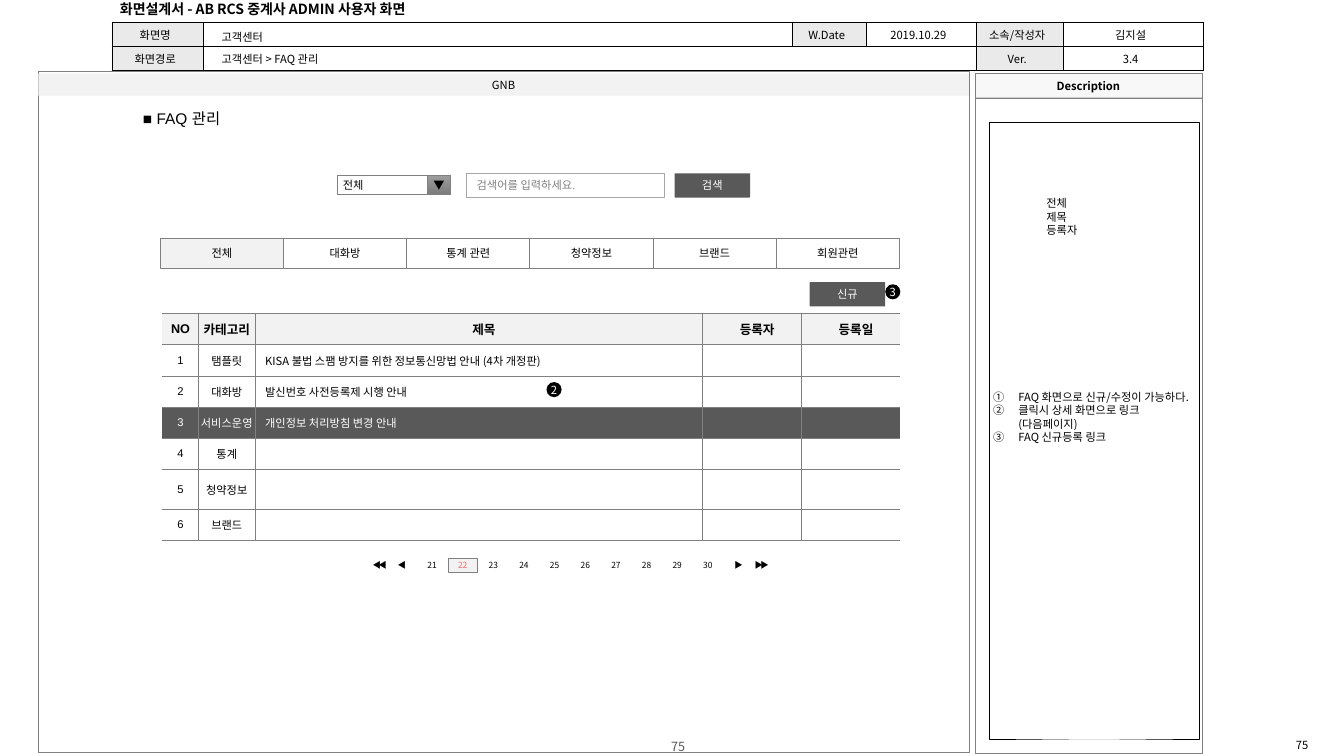
from dataclasses import dataclass

from lxml import etree
from pptx import Presentation
from pptx.dml.color import RGBColor
from pptx.enum.shapes import MSO_SHAPE
from pptx.enum.text import MSO_ANCHOR, PP_ALIGN
from pptx.oxml.ns import qn
from pptx.util import Inches, Pt

RECT = MSO_SHAPE.RECTANGLE
ROUNDED = MSO_SHAPE.ROUNDED_RECTANGLE
OVAL = MSO_SHAPE.OVAL
LEFT, CENTER = PP_ALIGN.LEFT, PP_ALIGN.CENTER
TOP, MIDDLE = MSO_ANCHOR.TOP, MSO_ANCHOR.MIDDLE
FLAT = (0, 0, 0, 0)
ROOMY = (1, 0.5, 1, 0.5)


@dataclass(frozen=True)
class Theme:
    """Colours, fonts and type sizes of the screen specification."""
    black: str = "000000"
    white: str = "FFFFFF"
    label: str = "EAEAEA"
    pale: str = "F2F2F2"
    caption: str = "F8F8F8"
    dark: str = "595959"
    gray: str = "808080"
    field: str = "A6A6A6"
    arrow_top: str = "9D9D9D"
    arrow_bottom: str = "7C7C7C"
    current: str = "FF6060"
    korean: str = "Noto Sans CJK KR"
    latin: str = "Arial"
    tiny: int = 6
    body: int = 8
    header: int = 9
    title: int = 10
    heading: int = 11


class Wireframe:
    """Draws elements on a page whose grid cells are a tenth of an inch."""

    def __init__(self, page, theme):
        self.page = page
        self.theme = theme

    def grid(self, *cells):
        return [Inches(cell / 10) for cell in cells]

    def style(self, frame, text, size=None, color=None, font=None, bold=False,
              align=CENTER, tracking=None):
        theme = self.theme
        frame.text = text
        for para in frame.paragraphs:
            para.alignment = align
            if not text:
                points = str((size or theme.body) * 100)
                etree.SubElement(para._p, qn("a:endParaRPr"), sz=points)
            for span in para.runs:
                span.font.size = Pt(size or theme.body)
                span.font.bold = bold
                span.font.name = font or theme.korean
                span.font.color.rgb = RGBColor.from_string(color or theme.black)
                properties = span.font._element
                etree.SubElement(properties, qn("a:ea"), typeface=theme.korean)
                if tracking:
                    properties.set("spc", str(tracking))

    def inset(self, target, insets):
        (target.margin_left, target.margin_top,
         target.margin_right, target.margin_bottom) = self.grid(*insets)

    def frame(self, box, text, anchor, insets, **look):
        frame = box.text_frame
        frame.word_wrap = True
        frame.vertical_anchor = anchor
        self.inset(frame, insets)
        self.style(frame, text, **look)
        return box

    def label(self, place, text, anchor=TOP, insets=ROOMY, **look):
        box = self.page.shapes.add_textbox(*self.grid(*place))
        return self.frame(box, text, anchor, insets, **look)

    def shape(self, place, text="", kind=RECT, fill=None, line=None,
              weight=0.25, insets=FLAT, **look):
        box = self.page.shapes.add_shape(kind, *self.grid(*place))
        box.shadow.inherit = False
        if kind == ROUNDED:
            box.adjustments[0] = 0.03
        if fill:
            box.fill.solid()
            box.fill.fore_color.rgb = RGBColor.from_string(fill)
        else:
            box.fill.background()
        if line:
            box.line.color.rgb = RGBColor.from_string(line)
            box.line.width = Pt(weight)
        else:
            box.line.fill.background()
        return self.frame(box, text, MIDDLE, insets, **look)

    def button(self, column, row, text):
        theme = self.theme
        self.shape((column, row, 7.5, 2.4), text, ROUNDED, theme.dark,
                   color=theme.white, font=theme.latin)

    def marker(self, column, row, text):
        self.shape((column, row, 1.5, 1.5), text, OVAL, self.theme.black,
                   color=self.theme.white)

    def numbered(self, box):
        for para in box.text_frame.paragraphs:
            properties = para._p.get_or_add_pPr()
            properties.set("marL", str(Inches(0.25)))
            properties.set("indent", str(Inches(-0.25)))
            etree.SubElement(properties, qn("a:buAutoNum"), type="circleNumDbPlain")

    def table(self, place, columns, rows):
        graphic = self.page.shapes.add_table(len(rows), len(columns), *self.grid(*place))
        table = graphic.table
        table.first_row = table.horz_banding = False
        for column, width in zip(table.columns, self.grid(*columns)):
            column.width = width
        for row, height in zip(table.rows, self.grid(*rows)):
            row.height = height
        return table

    def cell(self, cell, text, fill, insets, line, weight, hidden="", indent=0, **look):
        cell.vertical_anchor = MIDDLE
        self.inset(cell, insets)
        properties = cell._tc.get_or_add_tcPr()
        for side in "LRTB":
            edge = etree.SubElement(properties, qn("a:ln" + side), w=str(Pt(weight)))
            if side in hidden:
                etree.SubElement(edge, qn("a:noFill"))
            else:
                paint = etree.SubElement(edge, qn("a:solidFill"))
                etree.SubElement(paint, qn("a:srgbClr"), val=line)
        cell.fill.solid()
        cell.fill.fore_color.rgb = RGBColor.from_string(fill)
        self.style(cell.text_frame, text, **look)
        if indent:
            para = cell.text_frame.paragraphs[0]
            para._p.get_or_add_pPr().set("marL", str(Inches(indent / 10)))


def draw_document_frame(wire, theme):
    wire.label((125, 73.1, 8.3, 1.6), "75", MIDDLE, FLAT)
    wire.label((51.7, 73.4, 31.1, 1.3), "75", MIDDLE, FLAT, size=theme.header, color=theme.dark)
    wire.shape((3.8, 7.1, 92.3, 67.5), line=theme.gray)
    rows = [("화면명", "", "W.Date", "2019.10.29", "소속/작성자", "김지설"),
            ("화면경로", "", "", "", "Ver.", "3.4")]
    table = wire.table((11.1, 2.2, 108.2, 4.8), (9.1, 58.4, 7.3, 10.9, 8.7, 13.8), (2.4, 2.4))
    for row, texts in enumerate(rows):
        for column, text in enumerate(texts):
            shaded = column % 2 == 0 and text
            wire.cell(table.cell(row, column), text, theme.label if shaded else theme.white,
                      (0.4, 0.4, 0.9, 0.4), theme.black, 0.25)
    table.cell(1, 1).merge(table.cell(1, 3))
    wire.label((11, -0.4, 40, 2.6), "화면설계서 - AB RCS 중계사 ADMIN 사용자 화면", MIDDLE,
               (0.9, 0.4, 0.9, 0.4), size=theme.title, bold=True, align=LEFT)
    wire.shape((96.7, 9.6, 22.5, 65.1), line=theme.gray)
    wire.shape((96.7, 7.3, 22.5, 2.4), "Description", fill=theme.caption,
               line=theme.gray, bold=True)
    wire.shape((3.8, 7.3, 92.3, 2.2), "GNB", fill=theme.pale)
    notes = "\n".join(["FAQ 화면으로 신규/수정이 가능하다.",
                       "클릭시 상세 화면으로 링크 (다음페이지)", "FAQ 신규등록 링크"])
    wire.numbered(wire.shape((98.1, 12.1, 20.8, 61.2), notes, line=theme.black,
                             insets=(0.4, 0.4, 0.4, 3.1), align=LEFT))
    wire.label((21, 4.7, 24.1, 2.4), "고객센터 > FAQ 관리", align=LEFT)
    wire.label((21, 2.5, 16.6, 2.4), "고객센터", align=LEFT)


def draw_search(wire, theme):
    wire.label((13.2, 10.3, 35.7, 2.9), "■ FAQ 관리", size=theme.heading,
               font=theme.latin, align=LEFT)
    wire.shape((46.3, 17.2, 19.6, 2.4), "검색어를 입력하세요.", fill=theme.white,
               line=theme.field, weight=0.75, insets=ROOMY, color=theme.gray,
               font=theme.latin, align=LEFT)
    wire.button(66.9, 17.2, "검색")
    wire.shape((33.5, 17.4, 10.7, 1.9), "전체", fill=theme.white, line=theme.gray,
               weight=0.5, insets=(0.5, 0, 4.6, 0), align=LEFT)
    arrow = wire.shape((42.4, 17.4, 2.3, 1.9), "▼", line=theme.gray, weight=0.5)
    arrow.fill.gradient()
    arrow.fill.gradient_angle = 270
    for stop, color in zip(arrow.fill.gradient_stops, (theme.arrow_top, theme.arrow_bottom)):
        stop.color.rgb = RGBColor.from_string(color)
    wire.label((102.8, 17.4, 9.7, 8.2), "전체\n제목\n등록자", MIDDLE,
               font=theme.latin, align=LEFT)
    tabs = ("전체", "대화방", "통계 관련", "청약정보", "브랜드", "회원관련")
    for index, text in enumerate(tabs):
        wire.shape((15.9 + index * 12.22, 23.65, 12.22, 3), text,
                   fill=None if index else theme.pale, line=theme.gray, weight=0.75,
                   font=theme.latin)


def draw_questions(wire, theme):
    rows = [("NO", "카테고리", "제목", "등록자", "등록일"),
            ("1", "탬플릿", "KISA 불법 스팸 방지를 위한 정보통신망법 안내 (4차 개정판)", "", ""),
            ("2", "대화방", "발신번호 사전등록제 시행 안내", "", ""),
            ("3", "서비스운영", "개인정보 처리방침 변경 안내", "", ""),
            ("4", "통계", "", "", ""), ("5", "청약정보", "", "", ""), ("6", "브랜드", "", "", "")]
    table = wire.table((16.1, 31.1, 73.2, 22.4), (3.6, 5.6, 44.4, 9.8, 9.8),
                       (3.1, 3.1, 3.1, 3.1, 3.1, 3.9, 3.1))
    fills, hidden = {0: theme.pale, 3: theme.dark}, {0: "L", 4: "R"}
    for row, texts in enumerate(rows):
        for column, text in enumerate(texts):
            wire.cell(table.cell(row, column), text, fills.get(row, theme.white),
                      (0, 0.4, 0, 0.4), theme.gray, 0.5, hidden.get(column, ""),
                      indent=1 if column > 1 else 0,
                      size=theme.body if row else theme.header,
                      color=theme.white if row == 3 else theme.black,
                      font=theme.korean if column > 1 else theme.latin, bold=row == 0,
                      align=LEFT if row and column > 1 else CENTER)
    wire.button(80.3, 28, "신규")
    wire.marker(87.8, 28.2, "3")
    wire.marker(54.2, 37.9, "2")


def draw_pager(wire, theme):
    for index in range(10):
        current = index == 1
        wire.shape((41.4 + index * 3.04, 55.4, 2.9, 1.4), str(21 + index),
                   fill=theme.pale if current else theme.white,
                   line=theme.gray if current else None, size=theme.tiny,
                   color=theme.current if current else theme.black)
    for column, text in ((36.2, "◀◀"), (38.4, "◀"), (71.8, "▶"), (74.1, "▶▶")):
        wire.label((column, 55.4, 2.9, 1.4), text, MIDDLE, FLAT, size=theme.tiny,
                   tracking=-190 if len(text) > 1 else None)


def main():
    deck = Presentation()
    deck.slide_width, deck.slide_height = Inches(13.33), Inches(7.5)
    theme = Theme()
    wire = Wireframe(deck.slides.add_slide(deck.slide_layouts[6]), theme)
    for draw in (draw_document_frame, draw_search, draw_questions, draw_pager):
        draw(wire, theme)
    deck.save("out.pptx")


if __name__ == "__main__":
    main()
